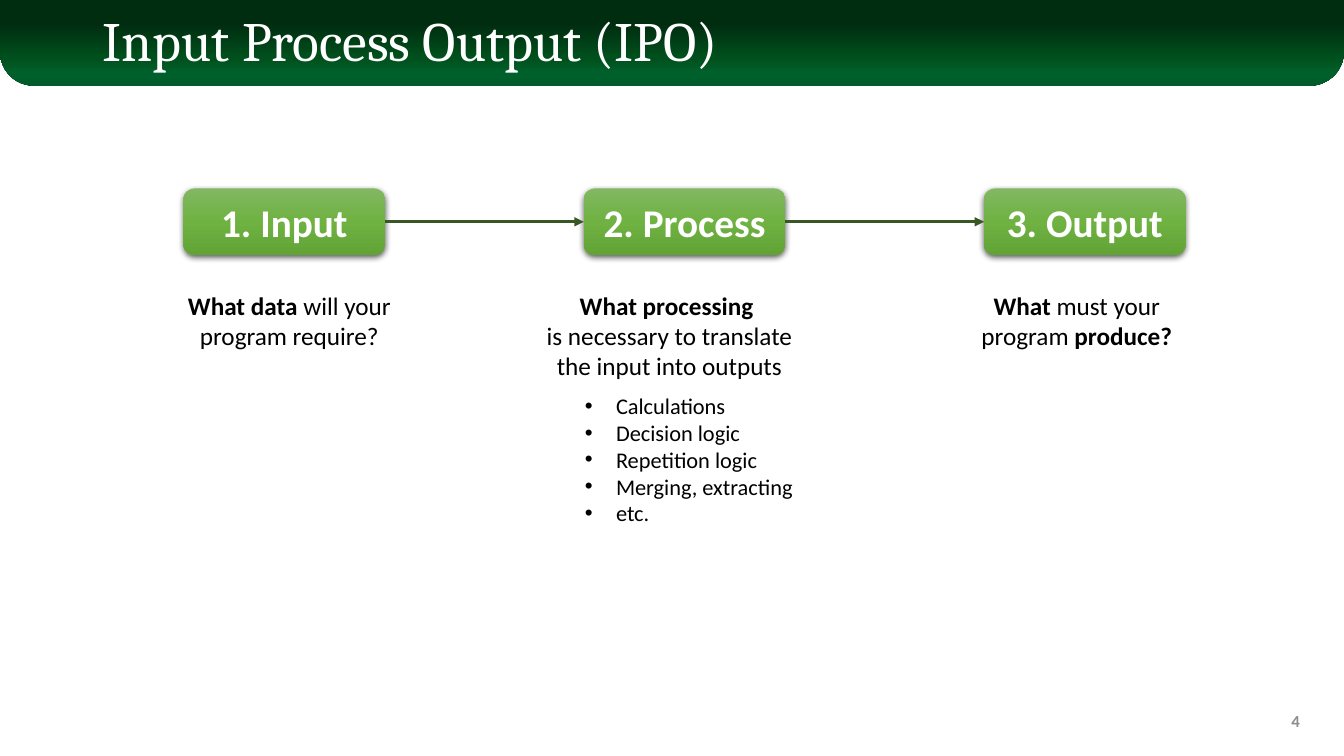
import lxml.etree
import pptx
import pptx.util
import pptx.dml.color
import pptx.enum.shapes
import pptx.enum.text
import pptx.oxml
import pptx.oxml.ns

Inches, Pt = pptx.util.Inches, pptx.util.Pt
RGB = pptx.dml.color.RGBColor.from_string
qn = pptx.oxml.ns.qn
Kind = pptx.enum.shapes.MSO_SHAPE
Align = pptx.enum.text.PP_ALIGN
Anchor = pptx.enum.text.MSO_ANCHOR
Fit = pptx.enum.text.MSO_AUTO_SIZE


class Theme:
    head, body = "Cambria", "Calibri"
    white, black, gray, line = "FFFFFF", "000000", "8C8C8C", "385723"
    band = [(0, "002D10"), (28, "002D10"), (68, "00501D"), (85, "00602B"), (100, "005C2B")]
    step = [(0, "81B861"), (50, "6FB242"), (100, "62A336")]
    title, label, text, item, page = 39.6, 28, 18, 16, 12


def write(par, text, size, color, bold=False, face=Theme.body):
    run = par.add_run()
    run.text = text
    run.font.size, run.font.bold, run.font.name = Pt(size), bold, face
    run.font.color.rgb = RGB(color)


def shade(shape, stops):
    """Fill a shape from top to bottom, with no outline or shadow."""
    shape.fill.gradient()
    shape.fill.gradient_angle = 270
    ramp = shape._element.spPr.find(qn("a:gradFill")).find(qn("a:gsLst"))
    for old in list(ramp):
        ramp.remove(old)
    for place, color in stops:
        stop = lxml.etree.SubElement(ramp, qn("a:gs"), pos=str(place * 1000))
        lxml.etree.SubElement(stop, qn("a:srgbClr"), val=color)
    shape.line.fill.background()
    shape.shadow.inherit = False


deck = pptx.Presentation()
deck.slide_width, deck.slide_height = Inches(13.33), Inches(7.5)
slide = deck.slides.add_slide(deck.slide_layouts[1])
shapes = slide.shapes
title, items = shapes.title, slide.placeholders[1]

# Banner, placed behind the title
band = shapes.add_shape(Kind.ROUND_2_SAME_RECTANGLE, 0, 0, deck.slide_width, Inches(0.85))
band.adjustments[0], band.adjustments[1] = 0, 0.4
shade(band, Theme.band)
title._element.addprevious(band._element)

# Title
title.left, title.top = Inches(0.92), Inches(0.13)
title.width, title.height = Inches(11.5), Inches(0.61)
frame = title.text_frame
frame.auto_size, frame.vertical_anchor = Fit.NONE, Anchor.MIDDLE
par = frame.paragraphs[0]
par.alignment, par.line_spacing = Align.LEFT, 0.9
write(par, "Input Process Output (IPO)", Theme.title, Theme.white, face=Theme.head)

# Page number
page = shapes.add_textbox(Inches(9.99), Inches(6.95), Inches(3), Inches(0.4))
page.text_frame.vertical_anchor = Anchor.MIDDLE
page.text_frame.word_wrap = True
par = page.text_frame.paragraphs[0]
par.alignment = Align.RIGHT
write(par, "4", Theme.page, Theme.gray, True)

# Question under each step: left, width, height, paragraphs of (text, bold)
notes = [
    (1.62, 2.5, 0.71, [[("What data ", True), ("will your program require?", False)]]),
    (5.3, 2.68, 1.01, [[("What processing ", True)],
                       [("is necessary to translate the input into outputs", False)]]),
    (9.43, 2.5, 0.71, [[("What", True), (" must your program ", False), ("produce?", True)]]),
]
for left, width, height, pars in notes:
    note = shapes.add_textbox(Inches(left), Inches(2.83), Inches(width), Inches(height))
    frame = note.text_frame
    frame.word_wrap, frame.auto_size = True, Fit.SHAPE_TO_FIT_TEXT
    for i, runs in enumerate(pars):
        par = frame.add_paragraph() if i else frame.paragraphs[0]
        par.alignment = Align.CENTER
        for text, bold in runs:
            write(par, text, Theme.text, Theme.black, bold)

# Kinds of processing
items.left, items.top = Inches(5.7), Inches(3.84)
items.width, items.height = Inches(2.52), Inches(1.72)
frame = items.text_frame
frame.word_wrap, frame.auto_size = True, Fit.SHAPE_TO_FIT_TEXT
words = ["Calculations", "Decision logic", "Repetition logic", "Merging, extracting", "etc."]
for i, word in enumerate(words):
    par = frame.add_paragraph() if i else frame.paragraphs[0]
    props = par._p.get_or_add_pPr()
    props.set("marL", str(Inches(0.31)))
    props.set("indent", str(-Inches(0.31)))
    lxml.etree.SubElement(props, qn("a:buFont"), typeface="Arial")
    lxml.etree.SubElement(props, qn("a:buChar"), char="•")
    par.space_before = Pt(0)
    write(par, word, Theme.item, Theme.black)

# Steps
steps = []
for i, name in enumerate(["1. Input", "2. Process", "3. Output"]):
    step = shapes.add_shape(Kind.ROUNDED_RECTANGLE, Inches(1.82 + 3.97 * i), Inches(1.87),
                            Inches(2), Inches(0.66))
    shade(step, Theme.step)
    glow = lxml.etree.SubElement(
        step._element.spPr.find(qn("a:effectLst")), qn("a:outerShdw"),
        blurRad=str(Pt(4.5)), dist=str(Pt(1.5)), dir="5400000", algn="ctr", rotWithShape="0")
    tint = lxml.etree.SubElement(glow, qn("a:srgbClr"), val=Theme.black)
    lxml.etree.SubElement(tint, qn("a:alpha"), val="63000")
    step.text_frame.vertical_anchor = Anchor.MIDDLE
    par = step.text_frame.paragraphs[0]
    par.alignment = Align.CENTER
    write(par, name, Theme.label, Theme.white, True)
    steps.append(step)

# Arrows between steps
for start, end in zip(steps, steps[1:]):
    arrow = shapes.add_connector(pptx.enum.shapes.MSO_CONNECTOR.STRAIGHT, 0, 0, 0, 0)
    arrow.begin_connect(start, 3)
    arrow.end_connect(end, 1)
    arrow.line.color.rgb, arrow.line.width = RGB(Theme.line), Pt(2.25)
    lxml.etree.SubElement(arrow.line._get_or_add_ln(), qn("a:tailEnd"), type="triangle")
    lxml.etree.SubElement(arrow._element.spPr, qn("a:effectLst"))

deck.save("out.pptx")
